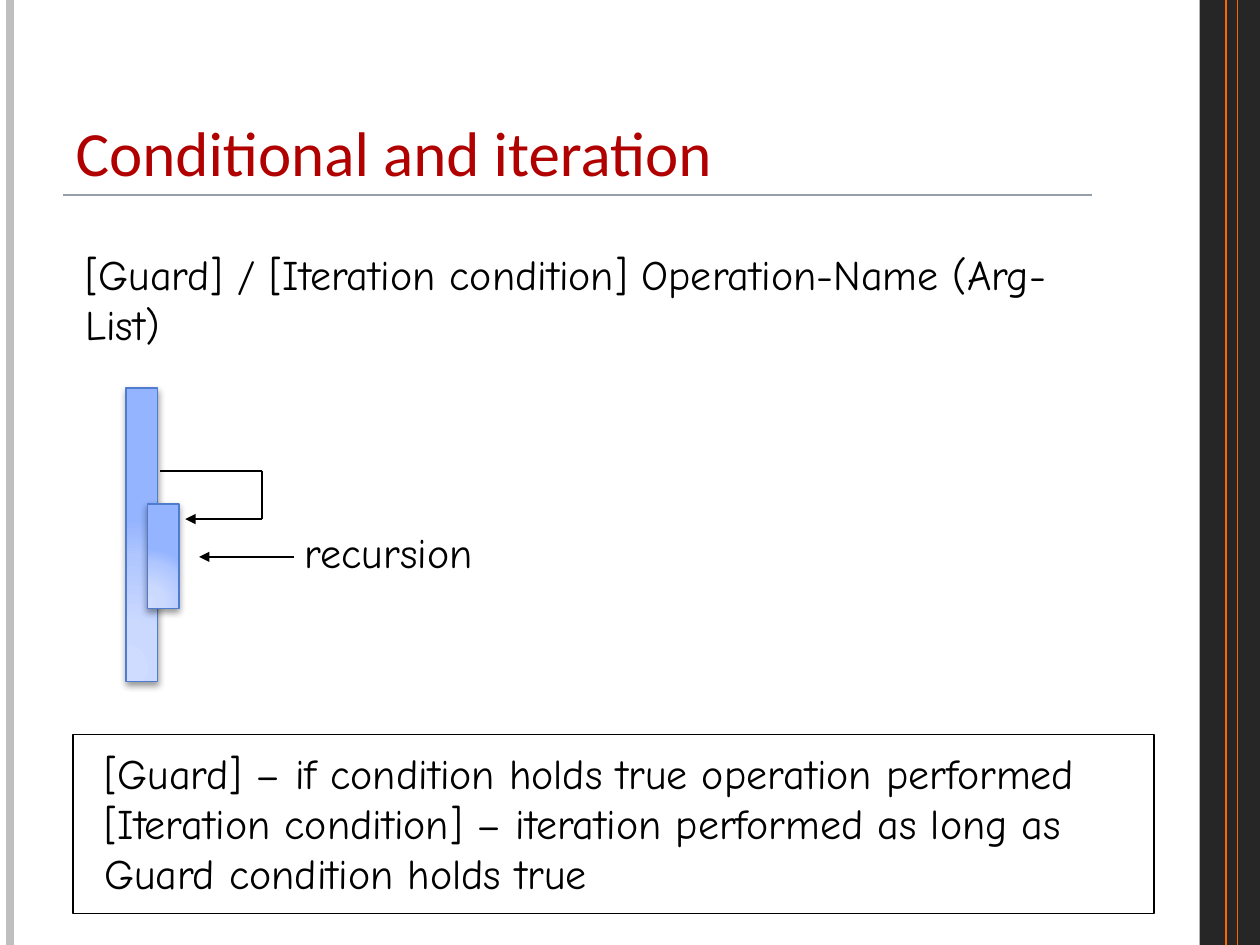
from pptx import Presentation
from pptx.dml.color import RGBColor
from pptx.enum.shapes import MSO_CONNECTOR, MSO_SHAPE
from pptx.enum.text import MSO_ANCHOR, MSO_AUTO_SIZE, PP_ALIGN
from pptx.oxml import parse_xml
from pptx.oxml.ns import nsdecls, qn
from pptx.oxml.xmlchemy import OxmlElement
from pptx.util import Inches, Pt

STRAIGHT = MSO_CONNECTOR.STRAIGHT
RECTANGLE = MSO_SHAPE.RECTANGLE
BOTTOM = MSO_ANCHOR.BOTTOM
GROW = MSO_AUTO_SIZE.SHAPE_TO_FIT_TEXT
LEFT = PP_ALIGN.LEFT

BLACK = RGBColor(0x00, 0x00, 0x00)
CHARCOAL = RGBColor(0x26, 0x26, 0x26)
SILVER = RGBColor(0xBF, 0xBF, 0xBF)
ORANGE = RGBColor(0xFF, 0x66, 0x00)
RULE_GRAY = RGBColor(0x96, 0x9E, 0xAB)
TITLE_RED = RGBColor(0xB0, 0x00, 0x00)
BAR_EDGE = RGBColor(0x4F, 0x7C, 0xCF)
BAR_STOPS = (
    (0, RGBColor(0xCF, 0xDC, 0xFF)),
    (30, RGBColor(0xCB, 0xD9, 0xFF)),
    (75, RGBColor(0xAF, 0xC6, 0xFF)),
    (100, RGBColor(0x95, 0xB4, 0xFF)),
)
TITLE_FONT = "Calibri"
BODY_FONT = "Comic Neue"


def style_font(paragraph, name, size, color):
    paragraph.alignment = LEFT
    paragraph.font.name = name
    paragraph.font.size = Pt(size)
    paragraph.font.color.rgb = color


def add_line(shapes, start, end, color=BLACK, width=1, arrow=False):
    points = [Inches(value) for value in (*start, *end)]
    connector = shapes.add_connector(STRAIGHT, *points)
    connector.line.color.rgb = color
    connector.line.width = Pt(width)
    properties = connector.element.spPr
    if arrow:
        head = OxmlElement("a:tailEnd")
        head.set("type", "triangle")
        properties.find(qn("a:ln")).append(head)
    properties.append(OxmlElement("a:effectLst"))


def add_rectangle(shapes, box, fill=None, edge=None):
    rectangle = shapes.add_shape(RECTANGLE, *map(Inches, box))
    rectangle.shadow.inherit = False
    if fill is None:
        rectangle.fill.background()
    else:
        rectangle.fill.solid()
        rectangle.fill.fore_color.rgb = fill
    if edge is None:
        rectangle.line.fill.background()
    else:
        rectangle.line.color.rgb = edge
        rectangle.line.width = Pt(1)
    return rectangle


def add_activation(shapes, box):
    bar = add_rectangle(shapes, box, BAR_STOPS[0][1], BAR_EDGE)
    properties = bar.element.spPr
    stops = "".join(
        f'<a:gs pos="{position * 1000}"><a:srgbClr val="{color}"/></a:gs>'
        for position, color in BAR_STOPS
    )
    gradient = parse_xml(
        f'<a:gradFill {nsdecls("a")} rotWithShape="1"><a:gsLst>{stops}</a:gsLst>'
        '<a:path path="circle"><a:fillToRect l="5000" t="100000" r="120000" b="10000"/>'
        "</a:path></a:gradFill>"
    )
    properties.replace(properties.find(qn("a:solidFill")), gradient)
    shadow = parse_xml(
        f'<a:outerShdw {nsdecls("a")} blurRad="{Pt(4)}" dist="{Pt(2)}" dir="5400000" '
        'rotWithShape="0"><a:srgbClr val="000000"><a:alpha val="40000"/></a:srgbClr>'
        "</a:outerShdw>"
    )
    properties.find(qn("a:effectLst")).append(shadow)


def add_text(shapes, box, lines, wrap=False):
    frame = shapes.add_textbox(*map(Inches, box)).text_frame
    frame.word_wrap = wrap
    frame.auto_size = GROW
    frame.text = "\n".join(lines)
    for paragraph in frame.paragraphs:
        style_font(paragraph, BODY_FONT, 24, BLACK)


def add_decoration(shapes):
    add_rectangle(shapes, (9.52, 0, 0.48, 7.5), CHARCOAL)
    add_line(shapes, (0.08, 0), (0.08, 7.5), SILVER, 4.5)
    for x in (9.73, 9.82):
        add_line(shapes, (x, 0), (x, 7.5), ORANGE, 0.75)
    add_line(shapes, (0.5, 1.55), (8.67, 1.55), RULE_GRAY)


def add_title(slide, text):
    title = slide.shapes.title
    title.left, title.top, title.width, title.height = map(Inches, (0.5, 0.3, 8.17, 1.25))
    title.text_frame.text = text
    title.text_frame.vertical_anchor = BOTTOM
    style_font(title.text_frame.paragraphs[0], TITLE_FONT, 36, TITLE_RED)


def add_explanation(shapes):
    add_rectangle(shapes, (0.58, 5.83, 8.58, 1.42), edge=BLACK)
    add_text(shapes, (0.73, 5.88, 8.6, 1.31), (
        "[Guard] – if condition holds true operation performed",
        "[Iteration condition] – iteration performed as long as",
        "Guard condition holds true",
    ))


def add_recursion(shapes):
    add_activation(shapes, (1, 3.08, 0.25, 2.33))
    add_activation(shapes, (1.17, 4, 0.25, 0.83))
    add_text(shapes, (2.32, 4.13, 1.65, 0.5), ("recursion",))
    add_line(shapes, (2.33, 4.42), (1.58, 4.42), arrow=True)
    add_line(shapes, (1.27, 3.74), (2.08, 3.74))
    add_line(shapes, (2.08, 3.74), (2.08, 4.12))
    add_line(shapes, (2.08, 4.12), (1.47, 4.12), arrow=True)


def main():
    """Build the slide on guards, iteration and recursion in sequence diagrams."""
    presentation = Presentation()
    presentation.slide_width = Inches(10)
    presentation.slide_height = Inches(7.5)
    slide = presentation.slides.add_slide(presentation.slide_layouts[5])
    add_decoration(slide.shapes)
    add_title(slide, "Conditional and iteration")
    syntax = "[Guard] / [Iteration condition] Operation-Name (Arg-List)"
    add_text(slide.shapes, (0.58, 1.92, 8.17, 0.91), (syntax,), wrap=True)
    add_explanation(slide.shapes.add_group_shape().shapes)
    add_recursion(slide.shapes.add_group_shape().shapes)
    presentation.save("out.pptx")


if __name__ == "__main__":
    main()
